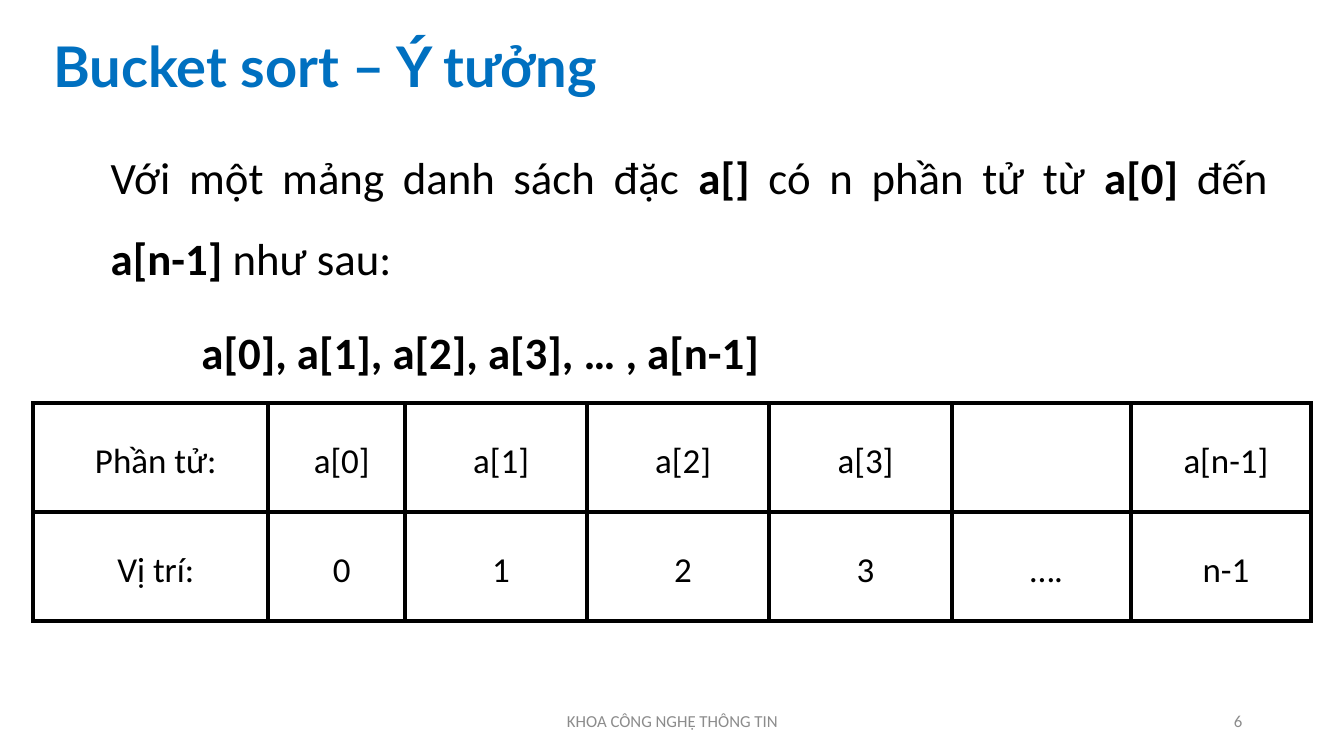
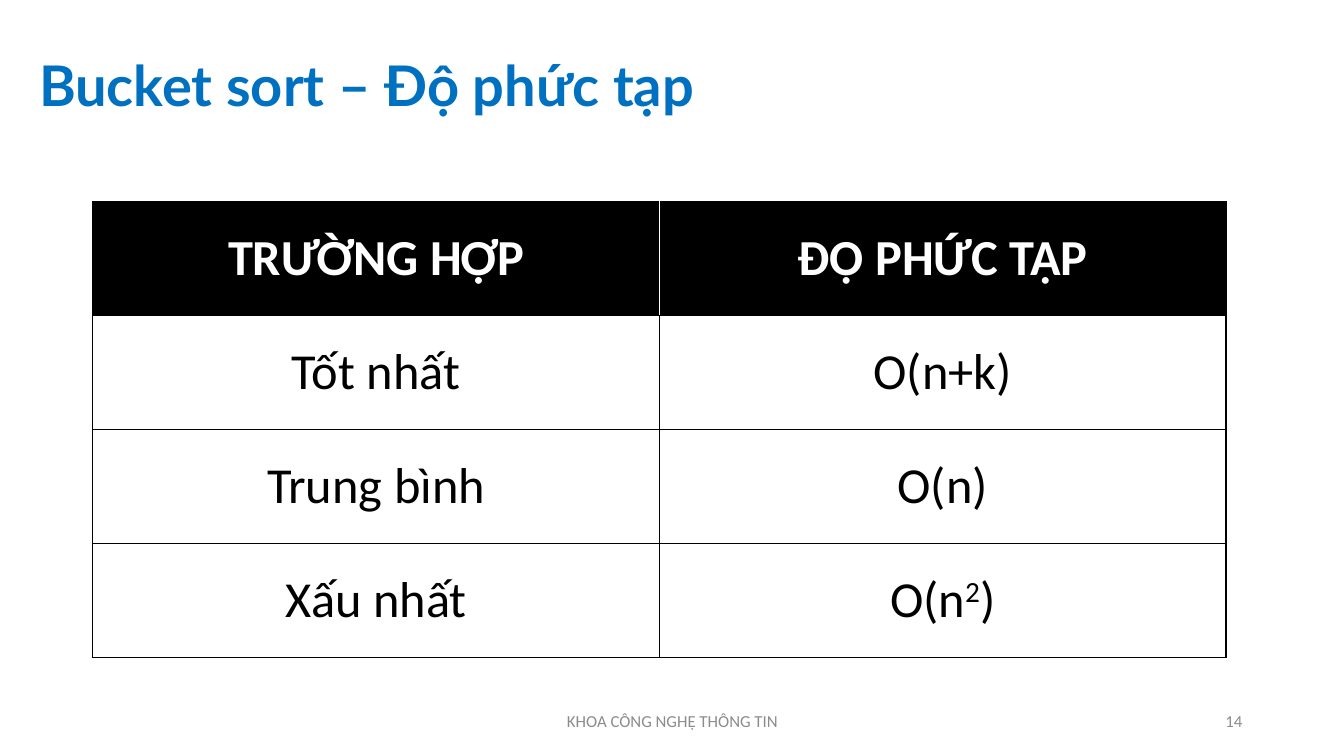
from lxml import etree
from pptx import Presentation
from pptx.dml.color import RGBColor
from pptx.enum.text import MSO_ANCHOR, PP_ALIGN
from pptx.oxml.ns import qn
from pptx.util import Inches, Pt

LEFT, CENTER, RIGHT, JUSTIFY = (PP_ALIGN.LEFT, PP_ALIGN.CENTER,
                                PP_ALIGN.RIGHT, PP_ALIGN.JUSTIFY)
TOP, MIDDLE = MSO_ANCHOR.TOP, MSO_ANCHOR.MIDDLE
BLUE = RGBColor(0x00, 0x70, 0xC0)
BLACK = RGBColor(0x00, 0x00, 0x00)
WHITE = RGBColor(0xFF, 0xFF, 0xFF)
GRAY = RGBColor(0x8C, 0x8C, 0x8C)
TITLE_FONT, BODY_FONT = "Lato", "Calibri"

# Content: a text is a list of (words, style) runs
PLAIN, BOLD, SUPER = "plain", "bold", "super"
FOOTER = "KHOA CÔNG NGHỆ THÔNG TIN"

IDEA_TITLE = "Bucket sort – Ý tưởng"
IDEA_INTRO = [
    ("Với một mảng danh sách đặc ", PLAIN), ("a[] ", BOLD),
    ("có n phần tử từ ", PLAIN), ("a[0] ", BOLD), ("đến ", PLAIN),
    ("a[n-1] ", BOLD), ("như sau:", PLAIN),
]
IDEA_LIST = [("a[0], a[1], a[2], a[3], … , a[n-1]", BOLD)]
IDEA_PARAGRAPHS = [(IDEA_INTRO, 0), (IDEA_LIST, 0.9)]
ARRAY_ROWS = [
    ["Phần tử:", "a[0]", "a[1]", "a[2]", "a[3]", "", "a[n-1]"],
    ["Vị trí:", "0", "1", "2", "3", "….", "n-1"],
]
ARRAY_WIDTHS = [2.33, 1.36, 1.8, 1.81, 1.81, 1.78, 1.78]

COST_TITLE = "Bucket sort – Độ phức tạp"
COST_ROWS = [
    ["TRƯỜNG HỢP", "ĐỘ PHỨC TẠP"],
    ["Tốt nhất", "O(n+k)"],
    ["Trung bình", "O(n)"],
    ["Xấu nhất", [("O(n", PLAIN), ("2", SUPER), (")", PLAIN)]],
]
COST_WIDTHS = [5.62, 5.62]


# Shared helpers
def write(paragraph, text, size, color, align=LEFT, font=BODY_FONT, bold=False):
    runs = [(text, PLAIN)] if isinstance(text, str) else text
    for words, style in runs:
        run = paragraph.add_run()
        run.text = words
        if style == BOLD:
            run.font.bold = True
        elif style == SUPER:
            run.font._element.set("baseline", "30000")
    paragraph.alignment = align
    paragraph.font.name = font
    paragraph.font.size = Pt(size)
    paragraph.font.bold = bold
    paragraph.font.color.rgb = color


def indent(paragraph, margin, first_line):
    properties = paragraph._p.get_or_add_pPr()
    properties.set("marL", str(Inches(margin)))
    properties.set("indent", str(Inches(first_line)))


def add_text_frame(slide, place, anchor=MIDDLE):
    frame = slide.shapes.add_textbox(*map(Inches, place)).text_frame
    frame.word_wrap = True
    frame.vertical_anchor = anchor
    return frame


def add_slide(title, title_place, number):
    slide = deck.slides.add_slide(deck.slide_layouts[6])
    heading = add_text_frame(slide, title_place).paragraphs[0]
    write(heading, title, 40, BLUE, font=TITLE_FONT, bold=True)
    heading.line_spacing = 0.9
    for text, place, align in [(FOOTER, (4.42, 6.95, 4.5, 0.4), CENTER),
                               (number, (9.42, 6.95, 3, 0.4), RIGHT)]:
        write(add_text_frame(slide, place).paragraphs[0], text, 12, GRAY, align)
    return slide


def add_grid(slide, rows, widths, left, top, row_height):
    table = slide.shapes.add_table(
        len(rows), len(widths), Inches(left), Inches(top),
        Inches(sum(widths)), Inches(row_height * len(rows))).table
    table.first_row = table.horz_banding = False
    for column, width in zip(table.columns, widths):
        column.width = Inches(width)
    for row in table.rows:
        row.height = Inches(row_height)
    return table


def set_borders(cell, width, left=BLACK, right=BLACK):
    properties = cell._tc.get_or_add_tcPr()
    sides = [("a:lnL", left), ("a:lnR", right), ("a:lnT", BLACK), ("a:lnB", BLACK)]
    for side, color in sides:
        line = etree.SubElement(properties, qn(side), w=str(Pt(width)))
        fill = etree.SubElement(line, qn("a:solidFill"))
        etree.SubElement(fill, qn("a:srgbClr"), val=str(color))


deck = Presentation()
deck.slide_width, deck.slide_height = Inches(13.33), Inches(7.5)

# Slide 1: the idea, with the array and its positions
idea = add_slide(IDEA_TITLE, (0.43, 0.19, 12, 1), "6")
body = add_text_frame(idea, (1, 1.17, 11.67, 5.48), TOP)
for i, (text, margin) in enumerate(IDEA_PARAGRAPHS):
    paragraph = body.add_paragraph() if i else body.paragraphs[0]
    write(paragraph, text, 32, BLACK, JUSTIFY)
    indent(paragraph, margin, 0)
    paragraph.line_spacing = 1.5
    paragraph.space_before = Pt(10)

array = add_grid(idea, ARRAY_ROWS, ARRAY_WIDTHS, 0.33, 4, 1.08)
for r, row in enumerate(ARRAY_ROWS):
    for c, text in enumerate(row):
        cell = array.cell(r, c)
        set_borders(cell, 3)
        cell.fill.background()
        cell.vertical_anchor = MIDDLE
        cell.margin_top = cell.margin_bottom = 0
        if text:
            paragraph = cell.text_frame.paragraphs[0]
            write(paragraph, text, 25, BLACK, CENTER)
            indent(paragraph, 0, 0.1)
            paragraph.line_spacing = 1.2
            paragraph.space_after = Pt(6)

# Slide 2: complexity by case
cost = add_slide(COST_TITLE, (0.29, 0.15, 11.5, 1.45), "14")
cases = add_grid(cost, COST_ROWS, COST_WIDTHS, 0.92, 2, 1.13)
for r, row in enumerate(COST_ROWS):
    header = r == 0
    divider = WHITE if header else BLACK
    for c, text in enumerate(row):
        cell = cases.cell(r, c)
        set_borders(cell, 1, left=divider if c else BLACK,
                    right=BLACK if c else divider)
        if header:
            cell.fill.solid()
            cell.fill.fore_color.rgb = BLACK
        else:
            cell.fill.background()
        cell.vertical_anchor = MIDDLE
        write(cell.text_frame.paragraphs[0], text, 36,
              WHITE if header else BLACK, CENTER, bold=header)

deck.save("out.pptx")
